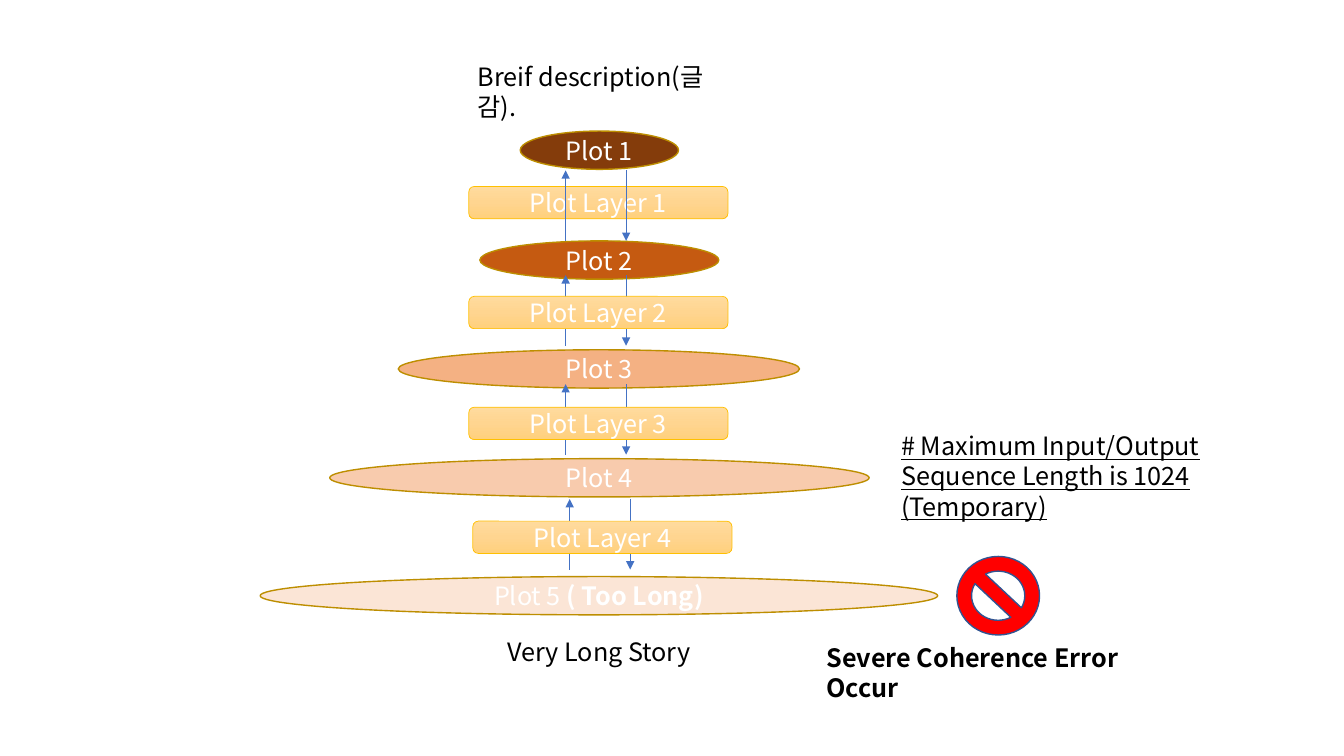
import copy
from dataclasses import dataclass

import pptx
import pptx.dml.color
import pptx.enum.shapes
import pptx.enum.text
import pptx.oxml
import pptx.oxml.ns
import pptx.util
from lxml import etree

SHAPE = pptx.enum.shapes.MSO_SHAPE
ALIGN = pptx.enum.text.PP_ALIGN
qn = pptx.oxml.ns.qn


@dataclass(frozen=True)
class Theme:
    font: str = "Noto Sans CJK KR"
    size: int = 18
    label: str = "FFFFFF"
    text: str = "000000"
    plot_line: str = "BD8E00"
    layer_line: str = "FFC000"
    layer_fill: tuple[str, ...] = ("FFDB9E", "FFD590", "FFD07C")
    arrow: str = "4472C4"
    ban: str = "FF0000"
    ban_line: str = "325491"
    thin: float = 0.5
    thick: float = 1


@dataclass(frozen=True)
class Plot:
    label: str
    top: int
    width: int
    fill: str
    bold_label: str = ""


@dataclass(frozen=True)
class Step:
    """A plot layer with the pair of arrows that cross it."""
    label: str
    top: int
    arrow_top: int
    shift: int = 0


@dataclass(frozen=True)
class Note:
    lines: tuple[str, ...]
    left: int
    top: int
    width: int
    height: int = 40
    align: ALIGN = ALIGN.LEFT
    bold: bool = False
    underline: bool = False


THEME = Theme()
CENTER = 594
PLOT_H = 38
LAYER_LEFT, LAYER_W, LAYER_H = 465, 257, 32
UP_X, DOWN_X, ARROW_LEN = 561, 621, 70

PLOTS = [
    Plot("Plot 1", 130, 157, "843C0B"),
    Plot("Plot 2", 239, 237, "C55A11"),
    Plot("Plot 3", 347, 398, "F4B183"),
    Plot("Plot 4", 455, 535, "F8CBAD"),
    Plot("Plot 5 ", 572, 672, "FBE5D6", "( Too Long)"),
]
STEPS = [
    Step("Plot Layer 1", 185, 169),
    Step("Plot Layer 2", 294, 273),
    Step("Plot Layer 3", 404, 381),
    Step("Plot Layer 4", 517, 495, 4),
]
NOTES = [
    Note(("Breif description(글감).",), 464, 56, 279),
    Note(("Very Long Story",), 258, 626, 672, align=ALIGN.CENTER),
    Note(("# Maximum Input/Output Sequence Length is 1024", "(Temporary)"),
         884, 422, 432, 101, underline=True),
    Note(("Severe Coherence Error Occur",), 810, 632, 377, bold=True),
]


def px(n: int) -> pptx.util.Emu:
    """Convert px, at 100 to the inch, into EMU."""
    return pptx.util.Emu(n * 9144)


def rgb(value: str) -> pptx.dml.color.RGBColor:
    return pptx.dml.color.RGBColor.from_string(value)


def format_run(r, color: str, bold: bool = False, underline: bool = False) -> None:
    r.font.name = THEME.font
    r.font.size = pptx.util.Pt(THEME.size)
    r.font.color.rgb = rgb(color)
    r.font.bold = bold
    r.font.underline = underline
    etree.SubElement(r.font._element, qn("a:ea"), typeface=THEME.font)


def set_line(line, color: str, width: float) -> None:
    line.color.rgb = rgb(color)
    line.width = pptx.util.Pt(width)


def add_shape(slide, kind, left: int, top: int, width: int, height: int,
              line: str, weight: float):
    sp = slide.shapes.add_shape(kind, px(left), px(top), px(width), px(height))
    sp.shadow.inherit = False
    set_line(sp.line, line, weight)
    return sp


def set_label(sp, text: str, bold_text: str = "") -> None:
    tf = sp.text_frame
    tf.vertical_anchor = pptx.enum.text.MSO_ANCHOR.MIDDLE
    p = tf.paragraphs[0]
    p.text = text
    p.alignment = ALIGN.CENTER
    format_run(p.runs[0], THEME.label)
    if bold_text:
        r = p.add_run()
        r.text = bold_text
        format_run(r, THEME.label, bold=True)


def add_plot(slide, plot: Plot) -> None:
    sp = add_shape(slide, SHAPE.OVAL, CENTER - plot.width // 2, plot.top,
                   plot.width, PLOT_H, THEME.plot_line, THEME.thick)
    sp.fill.solid()
    sp.fill.fore_color.rgb = rgb(plot.fill)
    set_label(sp, plot.label, plot.bold_label)


def add_layer(slide, step: Step) -> None:
    sp = add_shape(slide, SHAPE.ROUNDED_RECTANGLE, LAYER_LEFT + step.shift, step.top,
                   LAYER_W, LAYER_H, THEME.layer_line, THEME.thin)
    sp.fill.gradient()
    sp.fill.gradient_angle = 270
    first = sp._element.xpath(".//a:gs")[0]
    first.addnext(copy.deepcopy(first))
    for i, stop in enumerate(sp.fill.gradient_stops):
        stop.position = i / 2
        stop.color.rgb = rgb(THEME.layer_fill[i])
    set_label(sp, step.label)


def add_arrow(slide, x: int, start: int, end: int) -> None:
    line = slide.shapes.add_connector(
        pptx.enum.shapes.MSO_CONNECTOR.STRAIGHT, px(x), px(start), px(x), px(end))
    set_line(line.line, THEME.arrow, THEME.thin)
    etree.SubElement(line.line._get_or_add_ln(), qn("a:tailEnd"), type="triangle")
    etree.SubElement(line._element.spPr, qn("a:effectLst"))


def add_note(slide, note: Note) -> None:
    tb = slide.shapes.add_textbox(px(note.left), px(note.top), px(note.width), px(note.height))
    tf = tb.text_frame
    tf.word_wrap = True
    tf.auto_size = pptx.enum.text.MSO_AUTO_SIZE.SHAPE_TO_FIT_TEXT
    tf.text = "\n".join(note.lines)
    for p in tf.paragraphs:
        p.alignment = note.align
        format_run(p.runs[0], THEME.text, note.bold, note.underline)


def main() -> None:
    prs = pptx.Presentation()
    prs.slide_width, prs.slide_height = px(1333), px(750)
    slide = prs.slides.add_slide(prs.slide_layouts.get_by_name("Blank"))

    # The first layer lies behind its arrows, the others in front
    add_layer(slide, STEPS[0])
    for plot in PLOTS:
        add_plot(slide, plot)
    for step in STEPS:
        bottom = step.arrow_top + ARROW_LEN
        add_arrow(slide, UP_X + step.shift, bottom, step.arrow_top)
        add_arrow(slide, DOWN_X + step.shift, step.arrow_top, bottom)
    for step in STEPS[1:]:
        add_layer(slide, step)

    ban = add_shape(slide, SHAPE.NO_SYMBOL, 949, 552, 82, 78, THEME.ban_line, THEME.thick)
    ban.fill.solid()
    ban.fill.fore_color.rgb = rgb(THEME.ban)
    for note in NOTES:
        add_note(slide, note)
    prs.save("out.pptx")


if __name__ == "__main__":
    main()
